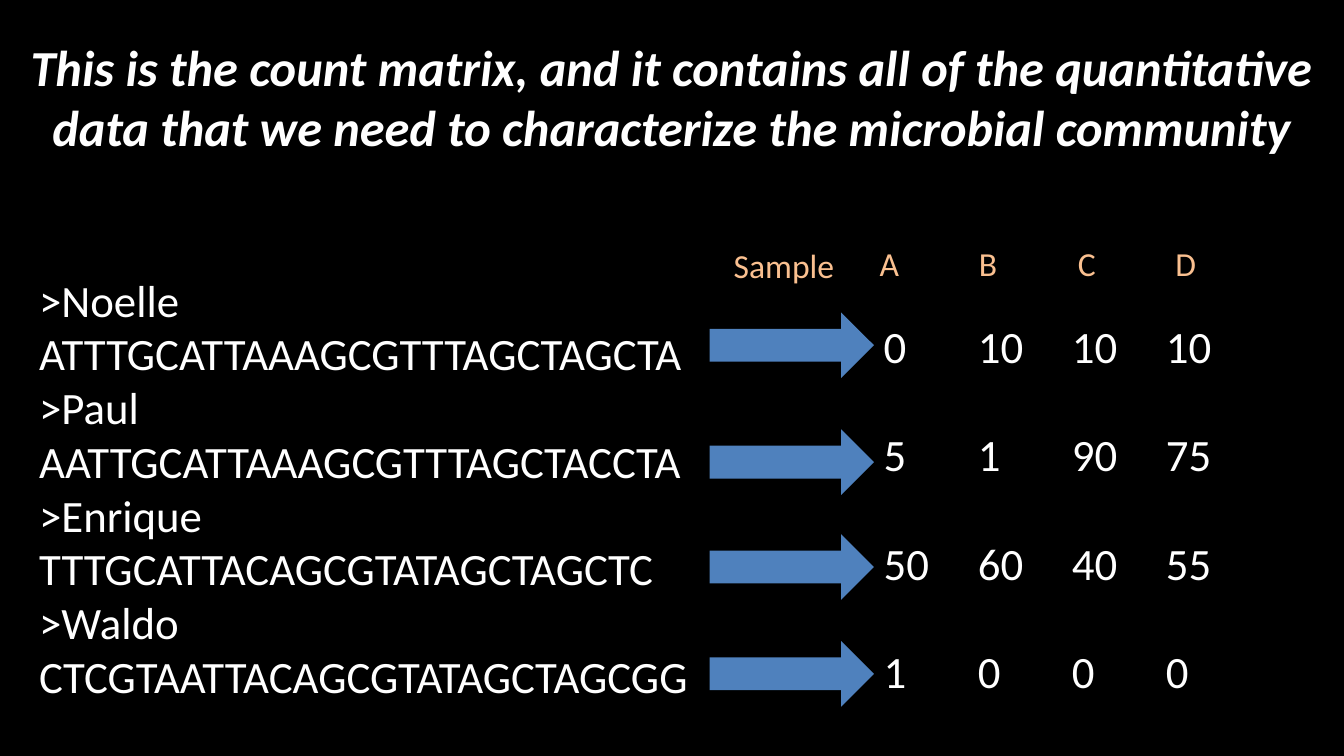
from pptx import Presentation
from pptx.dml.color import RGBColor
from pptx.enum import shapes, text
from pptx.util import Pt

# Content
TITLE = ("This is the count matrix, and it contains all of the quantitative "
         "data that we need to characterize the microbial community")
SEQUENCES = [
    (">Noelle", "ATTTGCATTAAAGCGTTTAGCTAGCTA"),
    (">Paul", "AATTGCATTAAAGCGTTTAGCTACCTA"),
    (">Enrique", "TTTGCATTACAGCGTATAGCTAGCTC"),
    (">Waldo", "CTCGTAATTACAGCGTATAGCTAGCGG"),
]
COUNTS = {
    "A ": [0, 5, 50, 1],
    "B ": [10, 1, 60, 0],
    "C ": [10, 90, 40, 0],
    "D ": [10, 75, 55, 0],
}
ARROW_TOPS = [223.2, 306.7, 381.6, 457.9]
COLORS = {"back": "000000", "text": "FFFFFF", "sample": "FAC090", "arrow": "4F81BD"}
FONT = "Calibri"
ROW_GAP = 39  # one line of 32 pt text

LEFT, CENTER = text.PP_ALIGN.LEFT, text.PP_ALIGN.CENTER

prs = Presentation()
prs.slide_width, prs.slide_height = Pt(960), Pt(540)
s = prs.slides.add_slide(prs.slide_layouts[6])
s.background.fill.solid()
s.background.fill.fore_color.rgb = RGBColor.from_string(COLORS["back"])


def add_text(lines, x, y, w, h, size, color="text", align=LEFT, gap=0, strong=False):
    tf = s.shapes.add_textbox(Pt(x), Pt(y), Pt(w), Pt(h)).text_frame
    tf.word_wrap = True
    tf.vertical_anchor = text.MSO_ANCHOR.MIDDLE
    tf.text = "\n".join(lines)
    for i, p in enumerate(tf.paragraphs):
        p.alignment = align
        if i and gap:
            p.space_before = Pt(gap)
        for r in p.runs:
            r.font.name, r.font.size = FONT, Pt(size)
            r.font.color.rgb = RGBColor.from_string(COLORS[color])
            if strong:
                r.font.bold = r.font.italic = True


# Title and sequences
add_text([TITLE], 7.2, 23.8, 945.4, 90, 36, align=CENTER, strong=True)
add_text([line for pair in SEQUENCES for line in pair], 20.9, 177.8, 535.7, 340.6, 32)

# Arrows from each sequence to its counts
for top in ARROW_TOPS:
    sp = s.shapes.add_shape(shapes.MSO_SHAPE.RIGHT_ARROW,
                            Pt(506.9), Pt(top), Pt(117.4), Pt(46.8))
    sp.shadow.inherit = False
    sp.fill.solid()
    sp.fill.fore_color.rgb = RGBColor.from_string(COLORS["arrow"])
    sp.line.fill.background()

# Count matrix: one column per sample
add_text(["Sample"], 517, 164.2, 93.6, 50.4, 24, "sample")
for i, (sample, counts) in enumerate(COUNTS.items()):
    add_text([sample], 591.1 + 70.6 * i, 163, 93.6, 50.4, 24, "sample", CENTER)
    add_text([str(n) for n in counts], 624.2 + 67.2 * i, 207.7, 47.5, 310.3, 32,
             gap=ROW_GAP)

prs.save("out.pptx")
